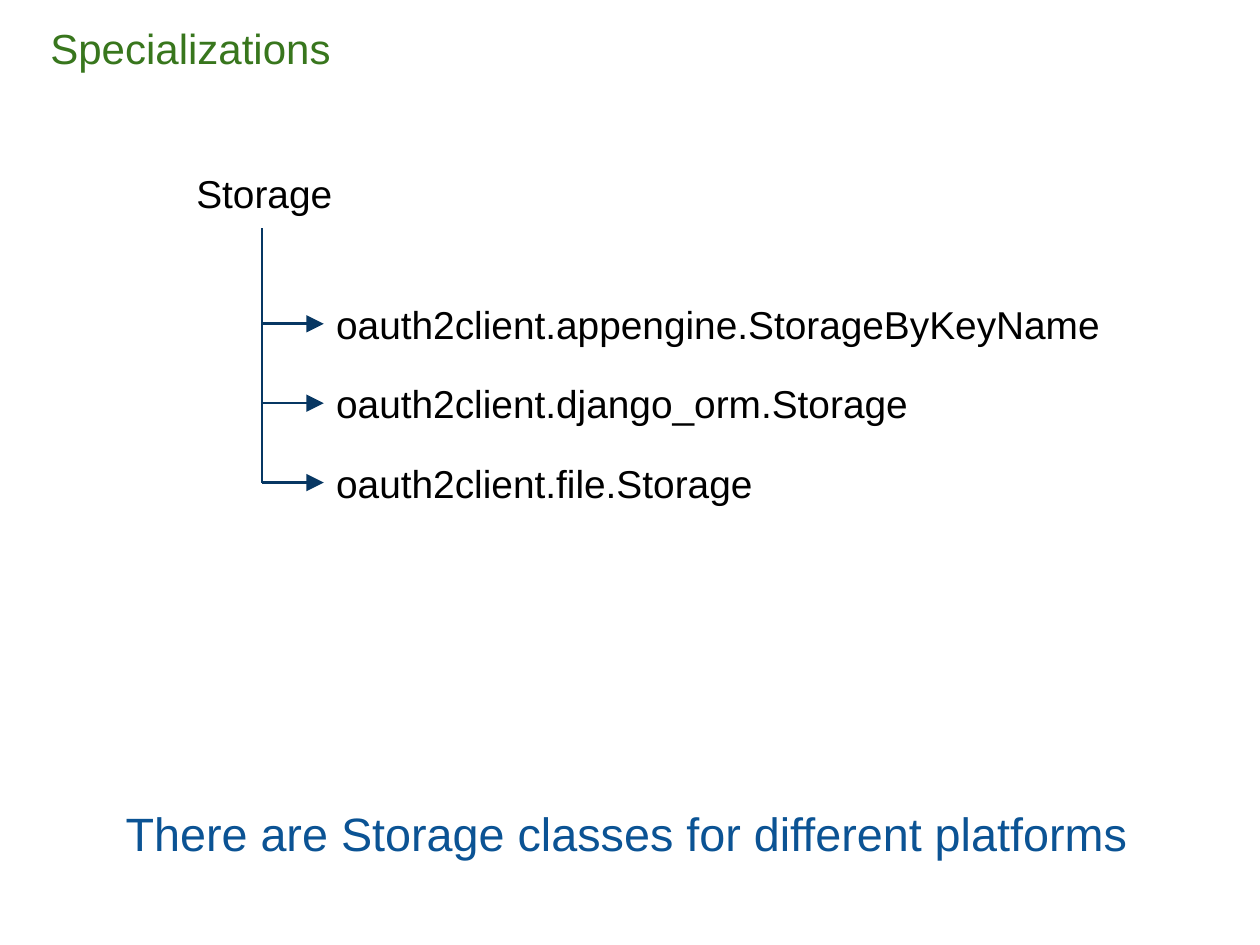
import dataclasses

import pptx
import pptx.dml.color
import pptx.enum.shapes
import pptx.enum.text
import pptx.oxml.ns
import pptx.util
from lxml import etree
from pptx.util import Inches

RGBColor = pptx.dml.color.RGBColor
GREEN = RGBColor(0x38, 0x76, 0x1D)
BLUE = RGBColor(0x0B, 0x53, 0x94)
NAVY = RGBColor(0x07, 0x37, 0x63)
BLACK = RGBColor(0, 0, 0)
WHITE = RGBColor(0xFF, 0xFF, 0xFF)

ANCHOR = pptx.enum.text.MSO_ANCHOR
ALIGN = pptx.enum.text.PP_ALIGN

TRUNK_X = 2.08
TRUNK_TOP = 1.81
CLASS_LEFT = 2.57
CLASS_TOP = 2.36
CLASS_PITCH = 0.63
LABEL_HEIGHT = 0.42
SUBCLASSES = (
    ("oauth2client.appengine.StorageByKeyName", 6.73),
    ("oauth2client.django_orm.Storage", 5.37),
    ("oauth2client.file.Storage", 5.37),
)


@dataclasses.dataclass(frozen=True)
class Label:
    """A line of text with its box in inches and its format."""

    text: str
    left: float
    top: float
    width: float
    height: float = LABEL_HEIGHT
    size: float = 22.2
    color: RGBColor = BLACK
    alignment: ALIGN = ALIGN.LEFT
    anchor: ANCHOR = ANCHOR.MIDDLE


def write_label(shape, label: Label) -> None:
    """Place the shape and fill it with the formatted text."""
    for name in ("left", "top", "width", "height"):
        setattr(shape, name, Inches(getattr(label, name)))
    frame = shape.text_frame
    frame.text = label.text
    frame_format = {
        "word_wrap": True,
        "auto_size": pptx.enum.text.MSO_AUTO_SIZE.NONE,
        "vertical_anchor": label.anchor,
    }
    for side in ("left", "top", "right", "bottom"):
        frame_format[f"margin_{side}"] = Inches(0.1)
    for name, value in frame_format.items():
        setattr(frame, name, value)
    paragraph = frame.paragraphs[0]
    paragraph.alignment = label.alignment
    font = paragraph.runs[0].font
    for name, value in {"name": "Arial", "size": pptx.util.Pt(label.size)}.items():
        setattr(font, name, value)
    font.color.rgb = label.color


def add_label(slide, label: Label) -> None:
    """Add a text box for the label."""
    write_label(slide.shapes.add_textbox(0, 0, 0, 0), label)


def add_line(slide, start: tuple[float, float], end: tuple[float, float],
             arrow: bool = False) -> None:
    """Draw a straight connector, with an arrowhead at its end if asked."""
    connector = slide.shapes.add_connector(
        pptx.enum.shapes.MSO_CONNECTOR.STRAIGHT, *map(Inches, start + end))
    connector.line.width = pptx.util.Pt(1.5)
    connector.line.color.rgb = NAVY
    qn = pptx.oxml.ns.qn
    properties = connector._element.spPr
    if arrow:
        etree.SubElement(properties.find(qn("a:ln")), qn("a:tailEnd"),
                         type="triangle", w="lg", len="lg")
    etree.SubElement(properties, qn("a:effectLst"))


def add_class_tree(slide) -> None:
    """Draw the Storage class, its trunk and one branch per subclass."""
    add_label(slide, Label("Storage", 1.46, 1.32, 1.32))
    for index, (name, width) in enumerate(SUBCLASSES):
        top = CLASS_TOP + index * CLASS_PITCH
        middle = top + LABEL_HEIGHT / 2
        add_label(slide, Label(name, CLASS_LEFT, top, width))
        add_line(slide, (TRUNK_X, middle), (CLASS_LEFT, middle), arrow=True)
    add_line(slide, (TRUNK_X, TRUNK_TOP), (TRUNK_X, middle))


def main() -> None:
    """Build the slide and save it."""
    presentation = pptx.Presentation()
    presentation.slide_width = Inches(10)
    presentation.slide_height = Inches(7.5)
    slide = presentation.slides.add_slide(presentation.slide_layouts[5])
    slide.background.fill.solid()
    slide.background.fill.fore_color.rgb = WHITE
    write_label(slide.shapes.title, Label(
        "Specializations", 0.3, 0.08, 9.54, 0.46, 24, GREEN, anchor=ANCHOR.TOP))
    add_label(slide, Label(
        "There are Storage classes for different platforms", 0.6, 6.29, 8.76, 0.91,
        26.7, BLUE, ALIGN.CENTER, ANCHOR.TOP))
    add_class_tree(slide)
    presentation.save("out.pptx")


main()
